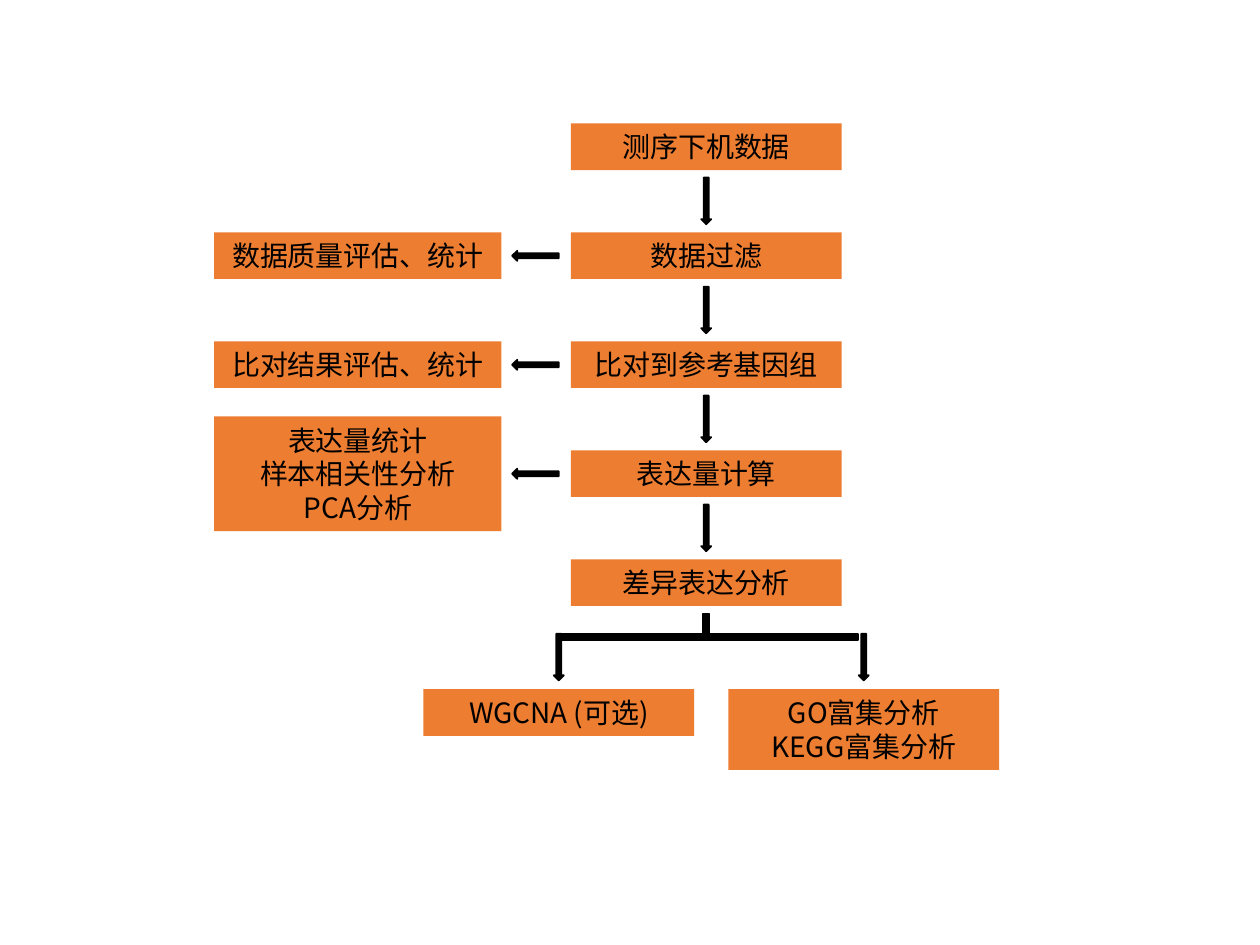
from dataclasses import dataclass

from lxml import etree
from pptx import Presentation
from pptx.dml.color import RGBColor
from pptx.enum.shapes import MSO_SHAPE
from pptx.enum.text import MSO_ANCHOR, PP_ALIGN
from pptx.oxml.ns import qn
from pptx.util import Inches, Pt

RECTANGLE = MSO_SHAPE.RECTANGLE
DOWN_ARROW = MSO_SHAPE.DOWN_ARROW
CENTER = PP_ALIGN.CENTER
MIDDLE = MSO_ANCHOR.MIDDLE


@dataclass(frozen=True)
class Theme:
    box: RGBColor = RGBColor(0xED, 0x7D, 0x31)
    ink: RGBColor = RGBColor(0, 0, 0)
    font: str = "Noto Sans CJK SC"
    text_size: Pt = Pt(16)
    outline: Pt = Pt(1)


THEME = Theme()
ROW_PITCH = 0.865
BOX_HEIGHT = 0.37
LINE_HEIGHT = 0.27
ARROW_WIDTH = 0.08
ARROW_LENGTH = 0.37
ARROW_GAP = 0.06
BAR = 0.05

STEPS = [
    ("测序下机数据", []),
    ("数据过滤", ["数据质量评估、统计"]),
    ("比对到参考基因组", ["比对结果评估、统计"]),
    ("表达量计算", ["表达量统计", "样本相关性分析", "PCA分析"]),
    ("差异表达分析", []),
]
BRANCHES = [["WGCNA (可选)"], ["GO富集分析", "KEGG富集分析"]]


def add_filled(slide, kind, left, top, width, height, color):
    shape = slide.shapes.add_shape(
        kind, Inches(left), Inches(top), Inches(width), Inches(height))
    shape.shadow.inherit = False
    shape.fill.solid()
    shape.fill.fore_color.rgb = color
    shape.line.fill.background()
    return shape


def add_black(slide, kind, left, top, width, height):
    shape = add_filled(slide, kind, left, top, width, height, THEME.ink)
    shape.line.color.rgb = THEME.ink
    shape.line.width = THEME.outline
    return shape


def add_arrow(slide, center_x, top, rotation=0):
    arrow = add_black(slide, DOWN_ARROW, center_x - ARROW_WIDTH / 2, top,
                      ARROW_WIDTH, ARROW_LENGTH)
    arrow.rotation = rotation


def box_height(lines):
    return BOX_HEIGHT + (len(lines) - 1) * LINE_HEIGHT


def add_box(slide, lines, left, top, width):
    shape = add_filled(slide, RECTANGLE, left, top, width,
                       box_height(lines), THEME.box)
    frame = shape.text_frame
    frame.word_wrap = True
    frame.vertical_anchor = MIDDLE
    frame.text = "\n".join(lines)
    for paragraph in frame.paragraphs:
        paragraph.alignment = CENTER
        font = paragraph.font
        font.size = THEME.text_size
        font.color.rgb = THEME.ink
        font.name = THEME.font
        defaults = paragraph._p.pPr.find(qn("a:defRPr"))
        etree.SubElement(defaults, qn("a:ea"), typeface=THEME.font)


def add_steps(slide, left, top, width):
    for row, (step, _) in enumerate(STEPS):
        row_top = top + row * ROW_PITCH
        add_box(slide, [step], left, row_top, width)
        if row < len(STEPS) - 1:
            add_arrow(slide, left + width / 2, row_top + BOX_HEIGHT + ARROW_GAP)


def add_side_results(slide, left, top, width, arrow_x):
    for row, (_, results) in enumerate(STEPS):
        if results:
            row_top = top + row * ROW_PITCH
            overhang = (box_height(results) - BOX_HEIGHT) / 2
            add_box(slide, results, left, row_top - overhang, width)
            add_arrow(slide, arrow_x, row_top, rotation=90)


def add_branches(slide, left, top, width, box_width, stem_x):
    stem = 0.16
    bar_top = top + stem
    box_top = bar_top + ARROW_LENGTH + 0.07
    pitch = width - box_width
    first_center = left + box_width / 2
    add_black(slide, RECTANGLE, stem_x - BAR / 2, top, BAR, stem)
    add_black(slide, RECTANGLE, first_center - BAR / 2 + 0.01, bar_top,
              pitch - 0.03, BAR)
    for column, lines in enumerate(BRANCHES):
        add_box(slide, lines, left + column * pitch, box_top, box_width)
        add_arrow(slide, first_center + column * pitch, bar_top)


def main():
    presentation = Presentation()
    presentation.slide_width = Inches(10)
    presentation.slide_height = Inches(7.5)
    slide = presentation.slides.add_slide(presentation.slide_layouts[6])

    top, step_left, step_width = 0.98, 4.53, 2.15
    stem_x = step_left + step_width / 2
    branch_top = top + (len(STEPS) - 1) * ROW_PITCH + BOX_HEIGHT + ARROW_GAP
    add_steps(slide, step_left, top, step_width)
    add_side_results(slide, 1.7, top, 2.28, arrow_x=4.25)
    add_branches(slide, 3.36, branch_top, 4.57, step_width, stem_x)
    presentation.save("out.pptx")


if __name__ == "__main__":
    main()
